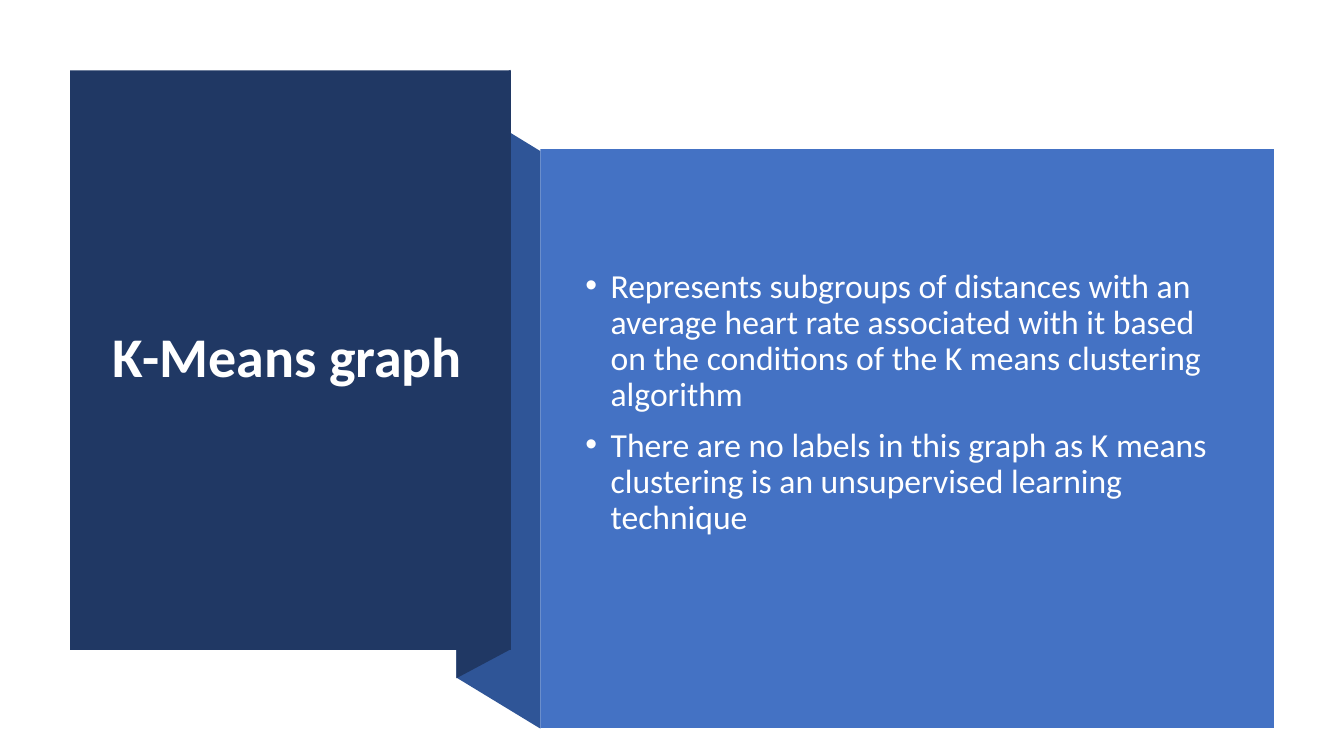
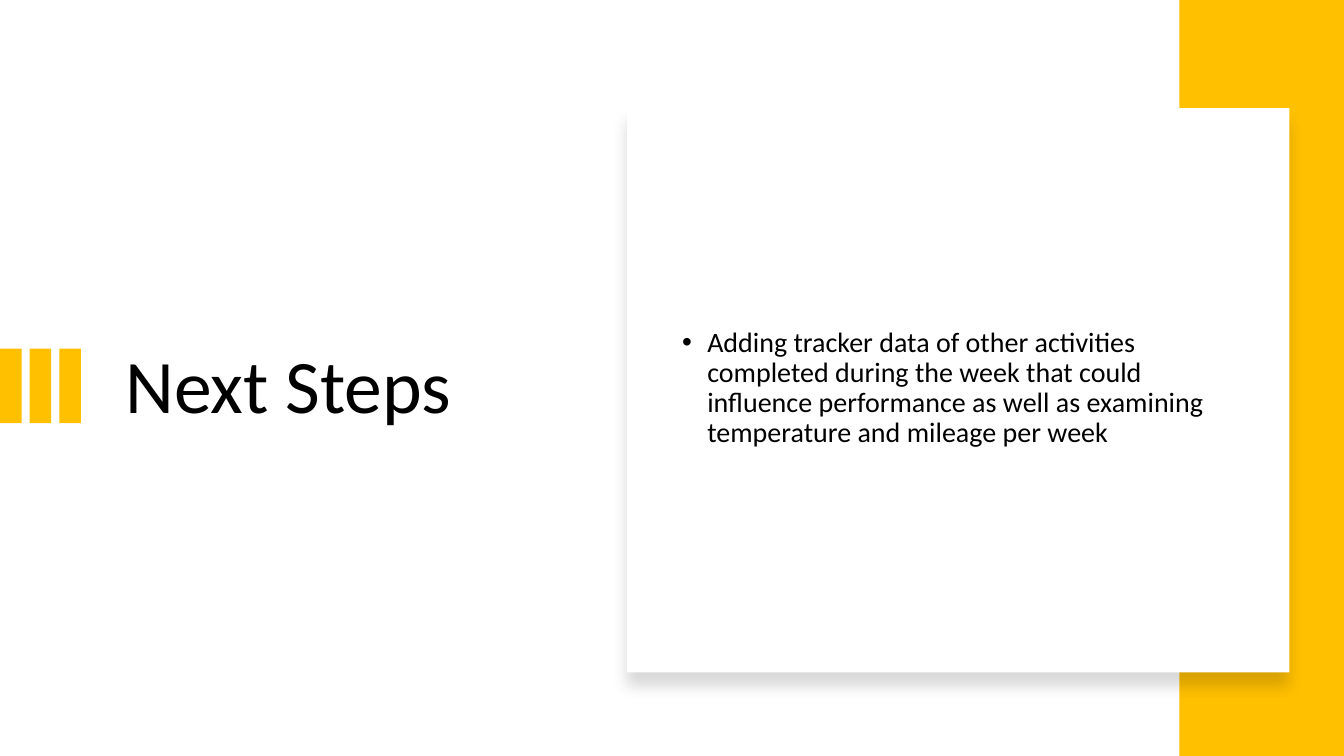
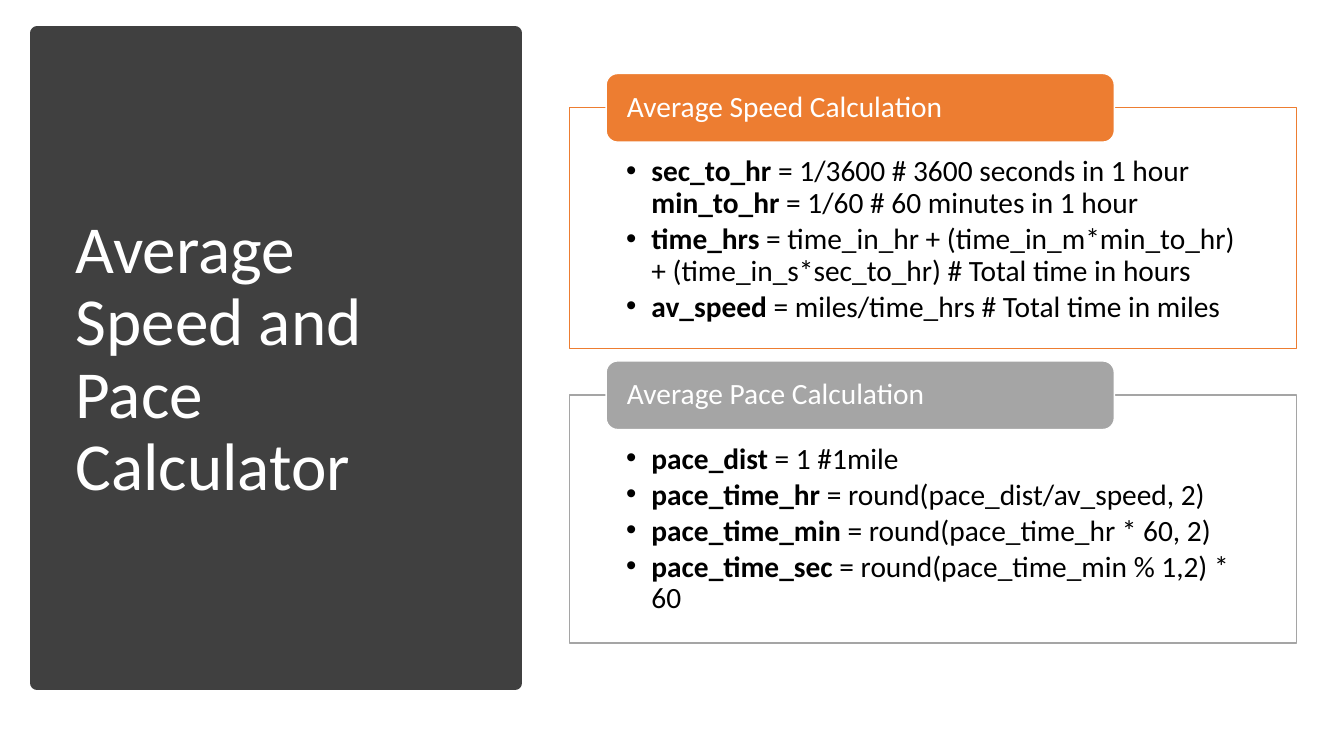
from lxml.etree import SubElement
from pptx import Presentation
from pptx.dml.color import RGBColor
from pptx.enum.shapes import MSO_SHAPE as SHAPE
from pptx.enum.text import MSO_ANCHOR as ANCHOR, MSO_AUTO_SIZE as AUTO, PP_ALIGN as ALIGN
from pptx.oxml.ns import qn
from pptx.util import Pt

# Shared style
FONT = "Calibri"
WHITE, BLACK = "FFFFFF", "000000"
NAVY, FOLD_BLUE, BLUE = "203864", "2F5597", "4472C4"
GOLD, CHARCOAL, ORANGE, GRAY = "FFC000", "404040", "ED7D31", "A5A5A5"
INSETS = (7.2, 3.6, 7.2, 3.6)
INDENT = 18

# Content: a paragraph is a list of lines, a line a list of (text, bold) runs
KMEANS_TITLE = "K-Means graph"
KMEANS_POINTS = [
    "Represents subgroups of distances with an average heart rate associated "
    "with it based on the conditions of the K means clustering algorithm",
    "There are no labels in this graph as K means clustering is an "
    "unsupervised learning technique",
]
NEXT_TITLE = "Next Steps"
NEXT_POINTS = [
    "Adding tracker data of other activities completed during the week that "
    "could influence performance as well as examining temperature and mileage per week",
]
CALC_TITLE = "Average Speed and Pace Calculator"
CALCULATIONS = [
    # heading, colour, top and height of the frame, code
    ("Average Speed Calculation", ORANGE, 77, 172, [
        [("sec_to_hr", "1/3600 # 3600 seconds in 1 hour"),
         ("min_to_hr", "1/60 # 60 minutes in 1 hour")],
        [("time_hrs", "time_in_hr + (time_in_m*min_to_hr) + (time_in_s*sec_to_hr)"
                      " # Total time in hours")],
        [("av_speed", "miles/time_hrs # Total time in miles")],
    ]),
    ("Average Pace Calculation", GRAY, 282.3, 177, [
        [("pace_dist", "1 #1mile")],
        [("pace_time_hr", "round(pace_dist/av_speed, 2)")],
        [("pace_time_min", "round(pace_time_hr * 60, 2)")],
        [("pace_time_sec", "round(pace_time_min % 1,2) * 60")],
    ]),
]


def rgb(value):
    return RGBColor.from_string(value)


def paint(sp, fill, line=None, width=1):
    sp.fill.solid()
    sp.fill.fore_color.rgb = rgb(fill)
    if line:
        sp.line.color.rgb = rgb(line)
        sp.line.width = Pt(width)
    else:
        sp.line.fill.background()
    sp.shadow.inherit = False
    return sp


def box(s, at, fill, line=None, width=1, kind=SHAPE.RECTANGLE):
    sp = s.shapes.add_shape(kind, *map(Pt, at))
    return paint(sp, fill, line, width)


def outline(s, points, fill):
    start, *rest = [(Pt(x), Pt(y)) for x, y in points]
    builder = s.shapes.build_freeform(*start)
    builder.add_line_segments(rest, close=True)
    return paint(builder.convert_to_shape(), fill)


def cast_shadow(sp):
    effects = sp._element.spPr.find(qn("a:effectLst"))
    shadow = SubElement(effects, qn("a:outerShdw"), blurRad=str(Pt(11)),
                        dist=str(Pt(10)), dir="5400000", rotWithShape="0")
    color = SubElement(shadow, qn("a:srgbClr"), val=BLACK)
    SubElement(color, qn("a:alpha"), val="15000")


def add_bullet(p):
    pPr = p._p.get_or_add_pPr()
    pPr.set("marL", str(Pt(INDENT)))
    pPr.set("indent", str(Pt(-INDENT)))
    SubElement(pPr, qn("a:buFont"), typeface="Arial")
    SubElement(pPr, qn("a:buChar"), char="•")


def write(sp, paragraphs, size, color, bullets=False, before=0, after=0,
          anchor=ANCHOR.MIDDLE, insets=INSETS):
    tf = sp.text_frame
    frame = dict(word_wrap=True, auto_size=AUTO.NONE, vertical_anchor=anchor)
    frame.update(zip(("margin_left", "margin_top", "margin_right", "margin_bottom"),
                     map(Pt, insets)))
    for name, value in frame.items():
        setattr(tf, name, value)
    for i, lines in enumerate(paragraphs):
        p = tf.add_paragraph() if i else tf.paragraphs[0]
        if bullets:
            add_bullet(p)
        layout = dict(alignment=ALIGN.LEFT, line_spacing=0.9,
                      space_before=Pt(before if i else 0), space_after=Pt(after))
        for name, value in layout.items():
            setattr(p, name, value)
        for j, line in enumerate(lines):
            if j:
                p.add_line_break()
            for text, bold in line:
                r = p.add_run()
                r.text = text
                for name, value in dict(name=FONT, size=Pt(size), bold=bold).items():
                    setattr(r.font, name, value)
                r.font.color.rgb = rgb(color)


def fill_placeholder(s, sp, at, texts, size, color, bold=False, **style):
    """Move a placeholder, bring it in front of the shapes and write in it."""
    for name, value in zip(("left", "top", "width", "height"), at):
        setattr(sp, name, Pt(value))
    s.shapes._spTree.append(sp._element)
    write(sp, [[[(text, bold)]] for text in texts], size, color, **style)


def kmeans_slide(s):
    # Folded ribbon joining the title panel to the text panel
    outline(s, [(386, 520.5), (326, 484), (326, 71.3), (386, 108)], FOLD_BLUE)
    outline(s, [(364.5, 464), (326, 484.5), (326, 70.6), (364.5, 50)], NAVY)
    box(s, (50, 50.3, 315, 414), NAVY)
    box(s, (386, 106.5, 524, 413.5), BLUE)
    fill_placeholder(s, s.shapes.title, (73.5, 77, 267, 359), [KMEANS_TITLE],
                     40, WHITE, bold=True)
    fill_placeholder(s, s.placeholders[1], (411, 135.4, 469, 305), KMEANS_POINTS,
                     24, WHITE, bullets=True, before=10)


def next_steps_slide(s):
    for i in range(3):
        box(s, (21.2 * i, 249, 15.4, 53.3), GOLD)
    box(s, (842.4, 0, 117.6, 540), GOLD)
    cast_shadow(box(s, (448, 77.3, 473, 403), WHITE))
    fill_placeholder(s, s.shapes.title, (82.3, 105, 307, 345), [NEXT_TITLE], 54, BLACK)
    fill_placeholder(s, s.placeholders[1], (480, 105, 414, 345), NEXT_POINTS,
                     20, BLACK, bullets=True)


def calculator_slide(s):
    box(s, (26.5, 23.8, 341.5, 464), CHARCOAL, CHARCOAL, 10)
    fill_placeholder(s, s.shapes.title, (46.8, 50.4, 299.5, 414), [CALC_TITLE], 48, WHITE)
    for heading, color, top, height, code in CALCULATIONS:
        # Code frame
        frame = box(s, (407, top, 519, height), WHITE, color)
        paragraphs = [[[(name, True), (f" = {value}", False)] for name, value in lines]
                      for lines in code]
        write(frame, paragraphs, 21, BLACK, bullets=True, after=3,
              anchor=ANCHOR.TOP, insets=(40.3, 34.7, 40.3, 11.5))
        # Heading tab, half above the frame
        tab = box(s, (433, top - 24.5, 363, 49), color, WHITE,
                  kind=SHAPE.ROUNDED_RECTANGLE)
        write(tab, [[[(heading, False)]]], 21, WHITE, insets=(12.5, 0, 12.5, 0))


def main():
    prs = Presentation()
    prs.slide_width, prs.slide_height = Pt(960), Pt(540)
    content, title_only = prs.slide_layouts[1], prs.slide_layouts[5]
    for layout, build in ((content, kmeans_slide), (content, next_steps_slide),
                          (title_only, calculator_slide)):
        build(prs.slides.add_slide(layout))
    prs.save("out.pptx")


if __name__ == "__main__":
    main()
